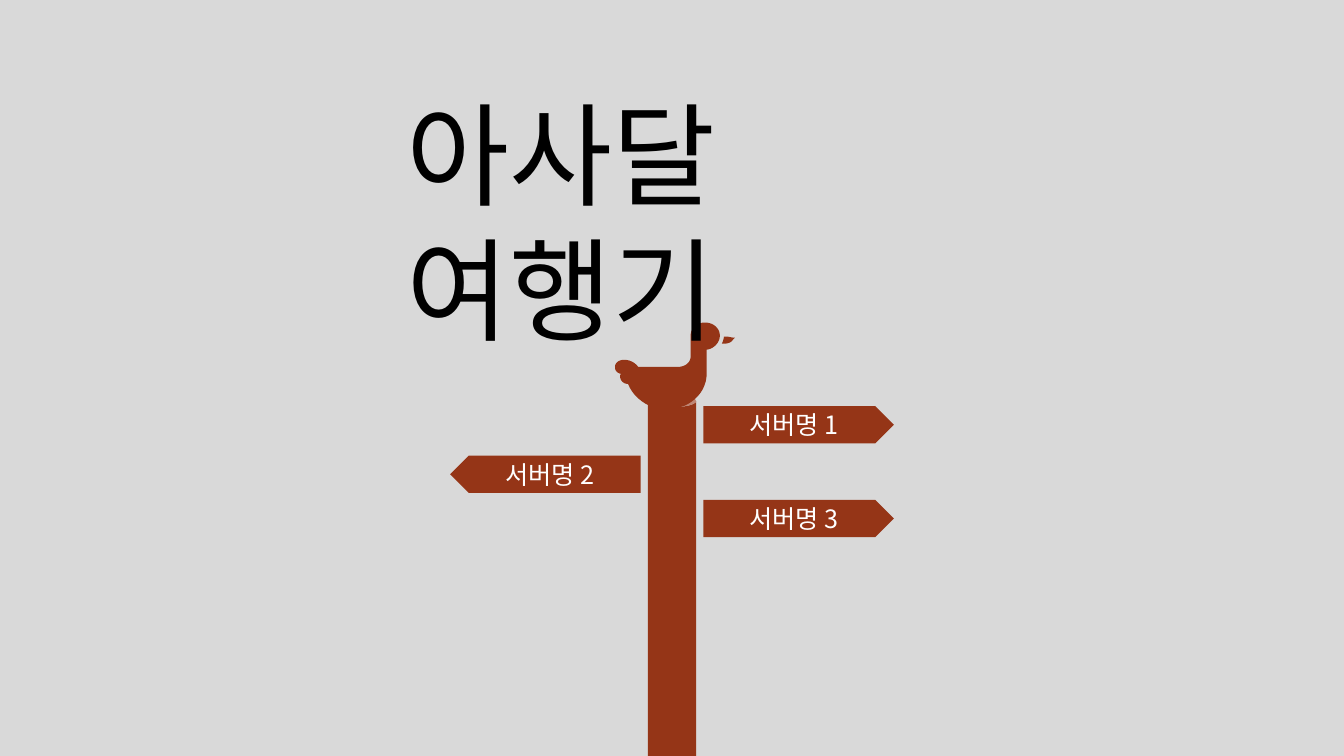
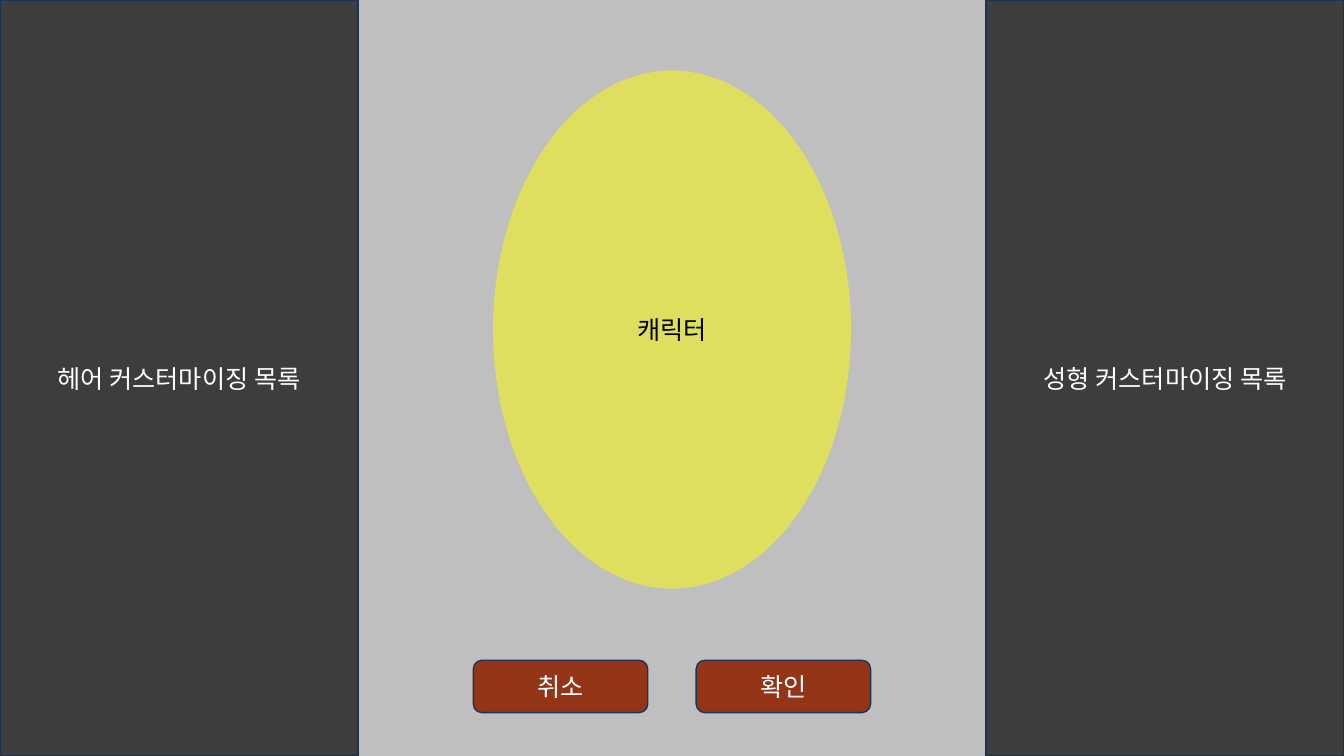
from lxml import etree
from pptx import Presentation, util as u
from pptx.dml.color import RGBColor
from pptx.enum import shapes, text
from pptx.oxml.ns import qn

WIDTH, HEIGHT = 13.33, 7.5
CENTER = WIDTH / 2
KINDS = shapes.MSO_SHAPE
THEME = {
    "font": "Noto Sans CJK KR",
    "title_size": 80, "label_size": 18,
    "sky": "D9D9D9", "stage": "BFBFBF", "wood": "953517",
    "character": "DFDF5F", "panel": "000000", "edge": "1E3256",
    "dark": "000000", "light": "FFFFFF",
}

TITLE = "아사달 여행기"
# label, side of the post (1 right, -1 left), top
SIGNS = [("서버명 1", 1, 4.03), ("서버명 2", -1, 4.52), ("서버명 3", 1, 4.96)]
PANELS = [("헤어 커스터마이징 목록", -1), ("성형 커스터마이징 목록", 1)]
BUTTONS = [("확인", 1), ("취소", -1)]
CHARACTER = "캐릭터"

# Outlines: a start point, then lines (x, y) and Bezier curves (two controls, end)
BIRD = [
    (6.99, 3.2), (6.91, 3.2, 6.85, 3.26, 6.85, 3.33), (6.85, 3.54),
    (6.85, 3.6, 6.79, 3.64, 6.73, 3.64), (6.33, 3.64),
    (6.3, 3.6, 6.25, 3.57, 6.19, 3.57), (6.14, 3.57, 6.1, 3.6, 6.1, 3.64),
    (6.1, 3.68, 6.12, 3.7, 6.16, 3.71), (6.15, 3.72, 6.15, 3.73, 6.15, 3.73),
    (6.15, 3.78, 6.19, 3.81, 6.23, 3.81), (6.28, 3.94, 6.42, 4.05, 6.58, 4.06),
    (6.65, 4.06), (6.67, 4.05, 6.69, 4.05, 6.71, 4.05), (6.78, 4.03),
    (6.92, 3.97, 7.01, 3.85, 7.01, 3.7), (7.01, 3.47),
    (7.08, 3.46, 7.14, 3.4, 7.14, 3.33), (7.14, 3.26, 7.08, 3.2, 6.99, 3.2),
]
BEAK = [
    (7.22, 3.34), (7.2, 3.34, 7.19, 3.34, 7.18, 3.34),
    (7.18, 3.36, 7.17, 3.39, 7.16, 3.41), (7.16, 3.41, 7.17, 3.41, 7.18, 3.41),
    (7.23, 3.41, 7.26, 3.39, 7.27, 3.37), (7.28, 3.36, 7.29, 3.35, 7.29, 3.35),
    (7.28, 3.35, 7.26, 3.35, 7.22, 3.34),
]


def color(name):
    return RGBColor.from_string(THEME[name])


def new_slide(presentation, layout, background):
    slide = presentation.slides.add_slide(presentation.slide_layouts[layout])
    slide.background.fill.solid()
    slide.background.fill.fore_color.rgb = color(background)
    return slide


def paint(shape, fill, edge=None, opacity=None):
    shape.shadow.inherit = False
    shape.fill.solid()
    shape.fill.fore_color.rgb = color(fill)
    if opacity:
        tone = shape.fill._xPr.find(qn("a:solidFill"))[0]
        etree.SubElement(tone, qn("a:alpha"), val=str(opacity * 1000))
    if edge:
        shape.line.color.rgb = color(edge)
        shape.line.width = u.Pt(1)
    else:
        shape.line.fill.background()


def write(shape, words, size, ink, align, anchor):
    frame = shape.text_frame
    formats = {"word_wrap": True, "auto_size": text.MSO_AUTO_SIZE.NONE,
               "vertical_anchor": anchor}
    for name, value in formats.items():
        setattr(frame, name, value)
    paragraph = frame.paragraphs[0]
    paragraph.alignment = align
    run = paragraph.add_run()
    run.text = words
    run.font.name = THEME["font"]
    run.font.size = u.Pt(THEME[size])
    run.font.color.rgb = color(ink)
    east_asian = etree.Element(qn("a:ea"), typeface=THEME["font"])
    run.font._element.find(qn("a:latin")).addnext(east_asian)


def add_block(slide, kind, box, fill, label=None, ink="light", **style):
    shape = slide.shapes.add_shape(kind, *map(u.Inches, box))
    paint(shape, fill, **style)
    if label:
        write(shape, label, "label_size", ink,
              text.PP_ALIGN.CENTER, text.MSO_ANCHOR.MIDDLE)
    return shape


def beside_center(side, gap, width):
    """Left edge of a box that keeps a gap to the slide's vertical axis."""
    return CENTER + gap if side > 0 else CENTER - gap - width


def flatten(outline, steps=10):
    """Turn lines and Bezier curves into a list of points."""
    points = [outline[0]]
    for segment in outline[1:]:
        if len(segment) == 2:
            points.append(segment)
            continue
        corners = [points[-1], segment[:2], segment[2:4], segment[4:]]
        for step in range(1, steps + 1):
            t = step / steps
            weights = ((1 - t) ** 3, 3 * t * (1 - t) ** 2, 3 * t * t * (1 - t), t ** 3)
            points.append(tuple(sum(w * c[axis] for w, c in zip(weights, corners))
                                for axis in (0, 1)))
    return points


def add_outline(slide, outline, fill):
    points = [(u.Inches(x), u.Inches(y)) for x, y in flatten(outline)]
    builder = slide.shapes.build_freeform(*points[0], scale=1.0)
    builder.add_line_segments(points[1:], close=True)
    paint(builder.convert_to_shape(), fill)


def build_title(presentation):
    slide = new_slide(presentation, 5, "sky")
    post_width, sign_width, sign_height = 0.48, 1.89, 0.37
    add_block(slide, KINDS.CAN,
              (CENTER - post_width / 2, 3.92, post_width, 3.7), "wood")
    for label, side, top in SIGNS:
        left = beside_center(side, 0.31, sign_width)
        sign = add_block(slide, KINDS.PENTAGON,
                         (left, top, sign_width, sign_height), "wood", label)
        if side < 0:
            sign._element.spPr.find(qn("a:xfrm")).set("flipH", "1")
    for outline in (BIRD, BEAK):
        add_outline(slide, outline, "wood")

    title = slide.shapes.title
    box = {"left": 3.93, "top": 0.8, "width": 5.47, "height": 1.45}
    for name, value in box.items():
        setattr(title, name, u.Inches(value))
    write(title, TITLE, "title_size", "dark",
          text.PP_ALIGN.LEFT, text.MSO_ANCHOR.TOP)
    slide.shapes._spTree.append(title._element)  # in front of the bird


def build_customizing(presentation):
    slide = new_slide(presentation, 6, "stage")
    column, button_width = 3.55, 1.73
    add_block(slide, KINDS.OVAL, (CENTER - column / 2, 0.7, column, 5.14),
              "character", CHARACTER, "dark")
    for label, side in PANELS:
        left = beside_center(side, CENTER - column, column)
        add_block(slide, KINDS.RECTANGLE, (left, 0, column, HEIGHT),
                  "panel", label, edge="edge", opacity=68)
    for label, side in BUTTONS:
        left = beside_center(side, 0.24, button_width)
        add_block(slide, KINDS.ROUNDED_RECTANGLE, (left, 6.55, button_width, 0.52),
                  "wood", label, edge="edge")


def main():
    presentation = Presentation()
    presentation.slide_width = u.Inches(WIDTH)
    presentation.slide_height = u.Inches(HEIGHT)
    build_title(presentation)
    build_customizing(presentation)
    presentation.save("out.pptx")


if __name__ == "__main__":
    main()
